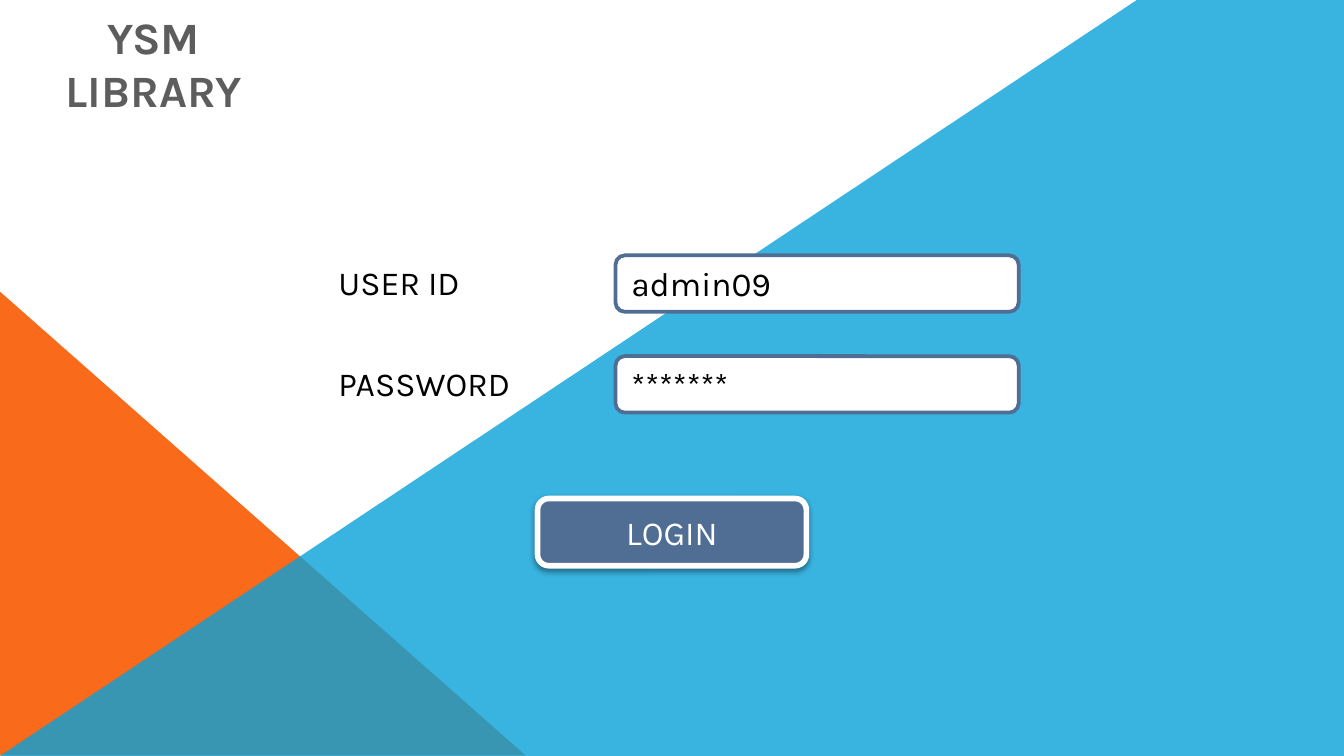
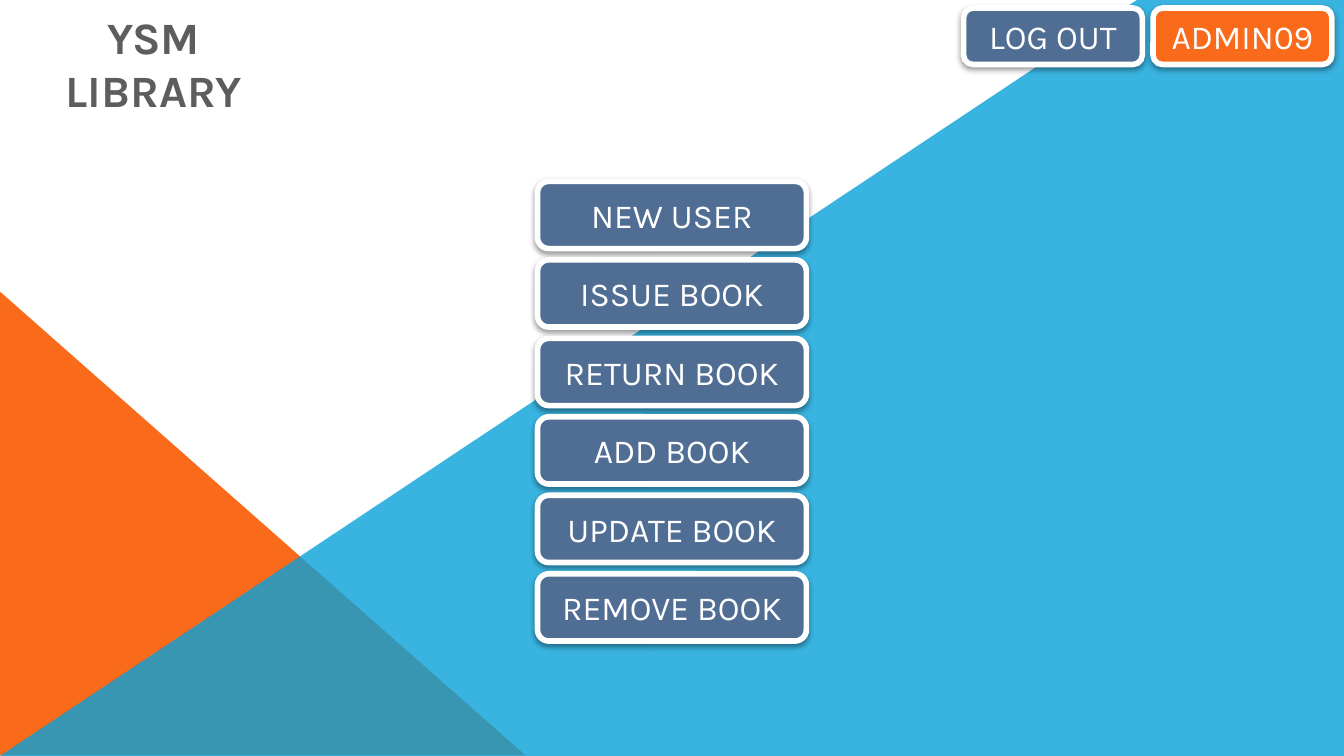
from dataclasses import dataclass

from lxml.etree import SubElement
from pptx import Presentation
from pptx.dml.color import RGBColor
from pptx.enum.shapes import MSO_SHAPE
from pptx.enum.text import MSO_ANCHOR, MSO_AUTO_SIZE, PP_ALIGN
from pptx.oxml.ns import qn
from pptx.util import Inches, Pt


@dataclass(frozen=True)
class Theme:
    font: str = "Karla"
    title_size: Pt = Pt(24)
    text_size: Pt = Pt(18)
    white: RGBColor = RGBColor(0xFF, 0xFF, 0xFF)
    black: RGBColor = RGBColor(0x00, 0x00, 0x00)
    title: RGBColor = RGBColor(0x5D, 0x5D, 0x5D)
    orange: RGBColor = RGBColor(0xF9, 0x6A, 0x1B)
    sky: RGBColor = RGBColor(0x08, 0xA1, 0xD9)
    slate: RGBColor = RGBColor(0x50, 0x6E, 0x94)


theme = Theme()


def write(shape, text, color, align=PP_ALIGN.LEFT, anchor=MSO_ANCHOR.MIDDLE,
          size=theme.text_size, bold=False):
    frame = shape.text_frame
    frame.text = text
    frame.word_wrap = True
    frame.auto_size = MSO_AUTO_SIZE.NONE
    frame.vertical_anchor = anchor
    paragraph = frame.paragraphs[0]
    paragraph.alignment = align
    paragraph.font.name = theme.font
    paragraph.font.size = size
    paragraph.font.bold = bold
    paragraph.font.color.rgb = color


def add_button(shapes, text, left, top, width, height, fill=theme.slate):
    button = shapes.add_shape(MSO_SHAPE.ROUNDED_RECTANGLE, Inches(left), Inches(top),
                              Inches(width), Inches(height))
    button.fill.solid()
    button.fill.fore_color.rgb = fill
    button.line.color.rgb = theme.white
    button.line.width = Pt(3)
    effects = SubElement(button._element.spPr, qn("a:effectLst"))
    shadow = SubElement(effects, qn("a:outerShdw"), blurRad=str(Pt(3.1)),
                        dist=str(Pt(1.6)), dir="5400000", rotWithShape="0")
    shade = SubElement(shadow, qn("a:srgbClr"), val=str(theme.black))
    SubElement(shade, qn("a:alpha"), val="38000")
    write(button, text, theme.white, PP_ALIGN.CENTER)


deck = Presentation()
deck.slide_width = Inches(10)
deck.slide_height = Inches(5.625)

layout = deck.slide_layouts[5]
for placeholder in list(layout.placeholders):
    if placeholder.placeholder_format.idx != 0:
        layout.shapes._spTree.remove(placeholder._element)

login = deck.slides.add_slide(layout)
menu = deck.slides.add_slide(layout)

corner = login.shapes.add_shape(MSO_SHAPE.RIGHT_TRIANGLE, Inches(0), Inches(2.17),
                                Inches(3.91), Inches(3.45))
outline = login.shapes.build_freeform(Inches(0), Inches(5.625))
outline.add_line_segments([(Inches(x), Inches(y)) for x, y in
                           [(8.46, 0), (10, 0), (10, 5.625)]], close=True)
sweep = outline.convert_to_shape()
for backdrop, color in [(corner, theme.orange), (sweep, theme.sky)]:
    backdrop.fill.solid()
    backdrop.fill.fore_color.rgb = color
    backdrop.line.fill.background()
    backdrop.shadow.inherit = False
    layout.shapes._spTree.append(backdrop._element)
sweep_color = sweep._element.spPr.find(qn("a:solidFill")).find(qn("a:srgbClr"))
SubElement(sweep_color, qn("a:alpha"), val="80000")

for slide in (login, menu):
    title = slide.shapes.title
    title.left, title.top = Inches(0.08), Inches(0.02)
    title.width, title.height = Inches(2.13), Inches(0.9)
    write(title, "YSM LIBRARY", theme.title, PP_ALIGN.CENTER, MSO_ANCHOR.TOP,
          theme.title_size, bold=True)

add_button(login.shapes, "LOGIN", 4, 3.71, 2, 0.5)
for row, (caption, entry) in enumerate([("USER ID", "admin09"), ("PASSWORD", "*******")]):
    top = Inches(1.9 + 0.75 * row)
    credential = login.shapes.add_group_shape().shapes
    field = credential.add_shape(MSO_SHAPE.ROUNDED_RECTANGLE, Inches(4.58), top,
                                 Inches(3), Inches(0.42))
    field.fill.solid()
    field.fill.fore_color.rgb = theme.white
    field.line.color.rgb = theme.slate
    field.line.width = Pt(2)
    field.shadow.inherit = False
    write(field, entry, theme.black)
    label = credential.add_textbox(Inches(2.42), top, Inches(1.92), Inches(0.42))
    write(label, caption, theme.black, anchor=MSO_ANCHOR.TOP)

add_button(menu.shapes, "ADMIN09", 8.58, 0.06, 1.33, 0.42, theme.orange)
add_button(menu.shapes, "LOG OUT", 7.17, 0.06, 1.33, 0.42)
actions = menu.shapes.add_group_shape().shapes
for row, action in enumerate(["NEW USER", "ISSUE BOOK", "RETURN BOOK",
                              "ADD BOOK", "UPDATE BOOK", "REMOVE BOOK"]):
    add_button(actions, action, 4, 1.35 + 0.584 * row, 2, 0.5)

deck.save("out.pptx")
